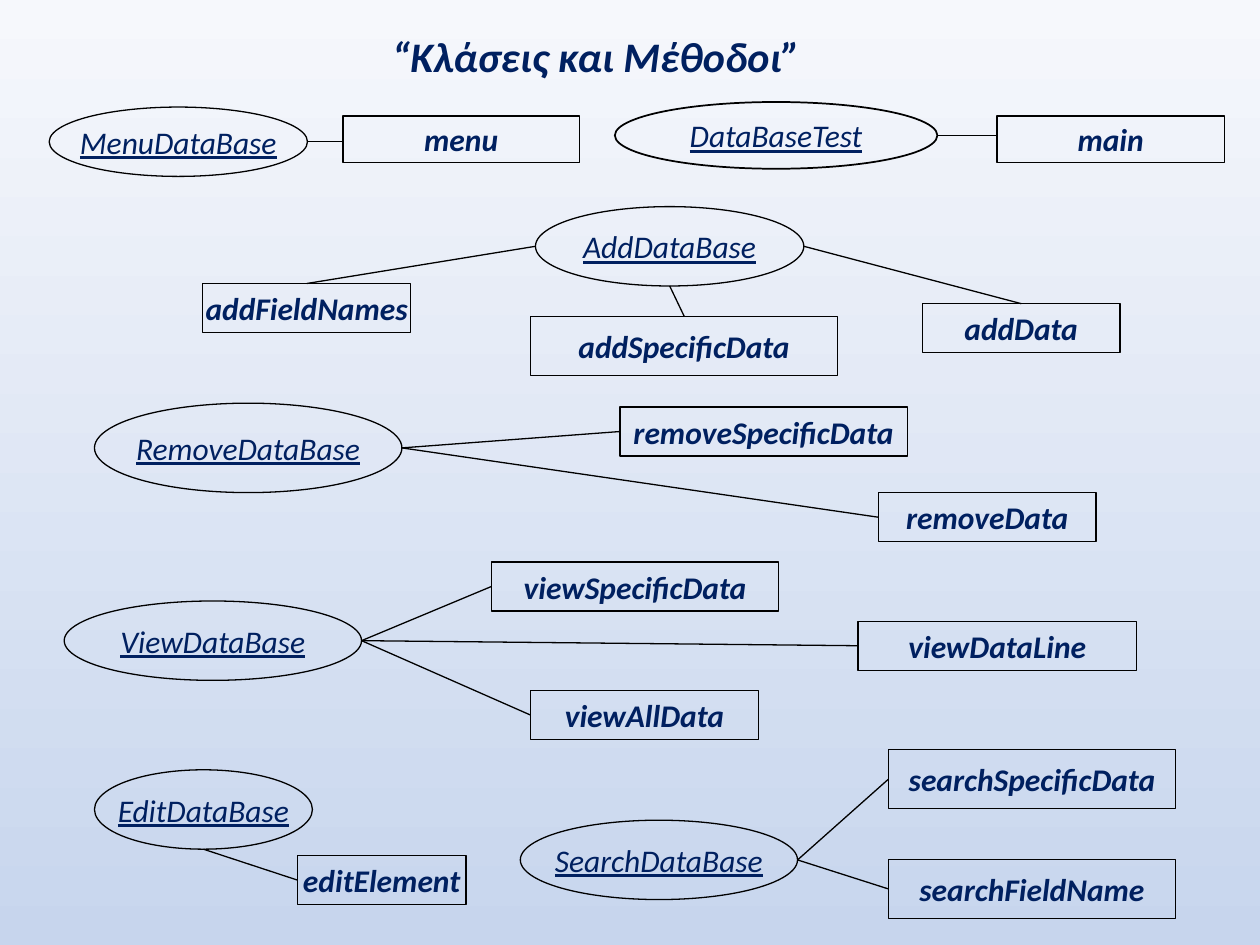
from lxml.etree import SubElement
from pptx import Presentation
from pptx.dml.color import RGBColor
from pptx.enum.shapes import MSO_CONNECTOR, MSO_SHAPE
from pptx.enum.text import MSO_ANCHOR, MSO_AUTO_SIZE, PP_ALIGN
from pptx.oxml.ns import qn
from pptx.util import Inches, Pt

COLORS = {"ink": "002060", "line": "000000", "top": "F6F8FC", "bottom": "C7D5ED"}

SIDES = {"left": (0, 0.5), "right": (1, 0.5), "top": (0.5, 0), "bottom": (0.5, 1)}

HEADER_CLASSES = [
    ("MenuDataBase", (0.39, 0.85, 2.05, 0.55), 0.75, "menu", (2.72, 0.92, 1.88, 0.37)),
    ("DataBaseTest", (4.88, 0.81, 2.56, 0.53), 1, "main", (7.91, 0.92, 1.81, 0.37)),
]

CLASSES = [
    ("AddDataBase", (4.25, 1.64, 2.13, 0.63), [
        ("addFieldNames", (1.61, 2.25, 1.65, 0.39), "left", "top"),
        ("addSpecificData", (4.21, 2.51, 2.44, 0.47), "bottom", "top"),
        ("addData", (7.32, 2.41, 1.57, 0.39), "right", "top"),
    ]),
    ("RemoveDataBase", (0.75, 3.2, 2.44, 0.71), [
        ("removeSpecificData", (4.92, 3.23, 2.28, 0.39), "right", "left"),
        ("removeData", (6.97, 3.91, 1.73, 0.39), "right", "left"),
    ]),
    ("ViewDataBase", (0.51, 4.77, 2.36, 0.63), [
        ("viewSpecificData", (3.9, 4.46, 2.28, 0.39), "right", "left"),
        ("viewDataLine", (6.81, 4.93, 2.21, 0.39), "right", "left"),
        ("viewAllData", (4.21, 5.48, 1.81, 0.39), "right", "left"),
    ]),
    ("EditDataBase", (0.75, 6.11, 1.73, 0.63), [
        ("editElement", (2.36, 6.79, 1.34, 0.39), "bottom", "left"),
    ]),
    ("SearchDataBase", (4.13, 6.51, 2.2, 0.63), [
        ("searchSpecificData", (7.05, 5.95, 2.28, 0.47), "right", "left"),
        ("searchFieldName", (7.05, 6.82, 2.28, 0.47), "right", "left"),
    ]),
]


def color(name):
    return RGBColor.from_string(COLORS[name])


def side_point(place, side):
    left, top, width, height = place
    across, down = SIDES[side]
    return left + across * width, top + down * height


class ClassDiagram:
    font_name = "Calibri"

    def __init__(self, page):
        self.page = page

    def background(self):
        fill = self.page.background.fill
        fill.gradient()
        fill.gradient_angle = 270
        for stop, name in zip(fill.gradient_stops, ("top", "bottom")):
            stop.color.rgb = color(name)

    def label(self, box, text, size, bold):
        paragraph = box.text_frame.paragraphs[0]
        paragraph.text = text
        paragraph.alignment = PP_ALIGN.CENTER
        font = paragraph.font
        font.name = self.font_name
        font.size = Pt(size)
        font.bold = bold
        font.italic = True
        font.color.rgb = color("ink")
        return font

    def title(self, text, place):
        box = self.page.shapes.add_textbox(*map(Inches, place))
        box.text_frame.word_wrap = True
        box.text_frame.auto_size = MSO_AUTO_SIZE.SHAPE_TO_FIT_TEXT
        self.label(box, text, 24, True)

    def node(self, kind, text, place, weight, bold):
        box = self.page.shapes.add_shape(kind, *map(Inches, place))
        box.shadow.inherit = False
        box.fill.background()
        box.line.color.rgb = color("line")
        box.line.width = Pt(weight)
        box.text_frame.word_wrap = weight == 1
        box.text_frame.vertical_anchor = MSO_ANCHOR.MIDDLE
        return self.label(box, text, 18, bold)

    def class_node(self, text, place, weight=0.75):
        self.node(MSO_SHAPE.OVAL, text, place, weight, False).underline = True

    def method_node(self, text, place, weight=0.75):
        self.node(MSO_SHAPE.RECTANGLE, text, place, weight, True)

    def link(self, start, end, weight=0.75):
        line = self.page.shapes.add_connector(
            MSO_CONNECTOR.STRAIGHT, *map(Inches, start + end))
        line.line.color.rgb = color("line")
        line.line.width = Pt(weight)
        SubElement(line._element.spPr, qn("a:effectLst"))


def main():
    deck = Presentation()
    deck.slide_width = Inches(10)
    deck.slide_height = Inches(7.5)
    diagram = ClassDiagram(deck.slides.add_slide(deck.slide_layouts[6]))
    diagram.background()
    diagram.title("“Κλάσεις και Μέθοδοι”", (2.87, 0.19, 3.72, 0.5))

    for class_name, class_place, weight, method, method_place in HEADER_CLASSES:
        diagram.class_node(class_name, class_place, weight)
        diagram.method_node(method, method_place, 1)
        start = side_point(class_place, "right")
        diagram.link(start, (method_place[0], start[1]), 0.5)

    for class_name, class_place, methods in CLASSES:
        diagram.class_node(class_name, class_place)
        for method, method_place, class_side, method_side in methods:
            diagram.method_node(method, method_place)
            diagram.link(side_point(class_place, class_side),
                         side_point(method_place, method_side))

    deck.save("out.pptx")


if __name__ == "__main__":
    main()
